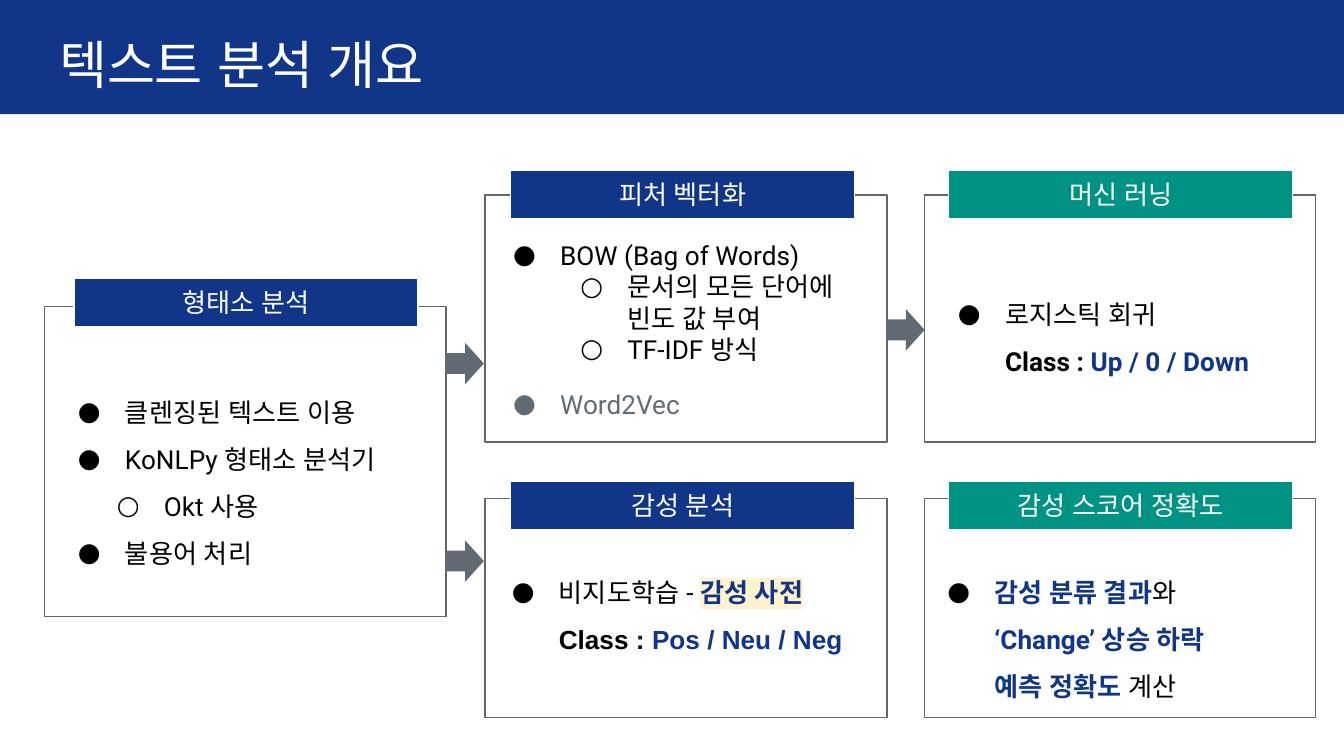
import dataclasses

import lxml.etree
import pptx
import pptx.dml.color
import pptx.enum.shapes
import pptx.enum.text
import pptx.oxml.ns
import pptx.util

Inches = pptx.util.Inches
Pt = pptx.util.Pt
SHAPE = pptx.enum.shapes.MSO_SHAPE
ALIGN = pptx.enum.text.PP_ALIGN
ANCHOR = pptx.enum.text.MSO_ANCHOR
FIT = pptx.enum.text.MSO_AUTO_SIZE

COLORS = {
    "navy": "113687", "green": "009384", "gray": "626B73", "frame": "666666",
    "cream": "FFF2CC", "black": "000000", "white": "FFFFFF",
}

# Grid in inches: columns are (left, width, tab left), rows (top, height, tab top)
SLIDE_WIDTH = 10
SLIDE_HEIGHT = SLIDE_WIDTH * 9 / 16
COLUMNS = [(0.33, 2.99, 0.55), (3.61, 2.99, 3.8), (6.88, 2.91, 7.06)]
ROWS = {"top": (1.45, 1.84, 1.27), "middle": (2.28, 2.31, 2.07), "bottom": (3.71, 1.63, 3.58)}
TAB_WIDTH, TAB_HEIGHT = 2.56, 0.36
LABEL_WIDTH, LABEL_HEIGHT = 1.95, 0.44


@dataclasses.dataclass
class Item:
    """One list paragraph; runs are (text, color, bold, highlight)."""
    runs: list
    bullet: str = "●"
    indent: float = 0.5
    spacing: float = 1.5
    before: int = 0
    font: str = "Roboto"
    bullet_color: str = "black"


def plain(text, color="black"):
    return (text, color, False, None)


def strong(text, color="navy", highlight=None):
    return (text, color, True, highlight)


# Panels: column, row, tab color, heading, list box (left, top, width, height), items
PANELS = [
    (0, "middle", "navy", "형태소 분석", (0.33, 2.73, 2.99, 1.5), [
        Item([plain("클렌징된 텍스트 이용")]),
        Item([plain("KoNLPy 형태소 분석기")]),
        Item([plain("Okt 사용")], bullet="○", indent=0.79),
        Item([plain("불용어 처리")]),
    ]),
    (1, "top", "navy", "피처 벡터화", (3.57, 1.68, 3.07, 1.52), [
        Item([plain("BOW (Bag of Words)")], spacing=1),
        Item([plain("문서의 모든 단어에 \n빈도 값 부여")], bullet="○", indent=1, spacing=1),
        Item([plain("TF-IDF 방식")], bullet="○", indent=1, spacing=1),
        Item([plain("Word2Vec", "gray")], spacing=1.15, before=10, bullet_color="gray"),
    ]),
    (2, "top", "green", "머신 러닝", (6.88, 2, 3.07, 0.79), [
        Item([plain("로지스틱 회귀")]),
        Item([strong("Class : ", "black"), strong("Up / 0 / Down")], bullet=""),
    ]),
    (1, "bottom", "navy", "감성 분석", (3.56, 4.07, 3.24, 0.79), [
        Item([plain("비지도학습 - "), strong("감성 사전", highlight="cream")]),
        Item([strong("Class : ", "black"), strong("Pos / Neu / Neg")], bullet="", font="Arial"),
    ]),
    (2, "bottom", "green", "감성 스코어 정확도", (6.8, 4.07, 3.24, 1.14), [
        Item([strong("감성 분류 결과"), plain("와")]),
        Item([strong("‘Change’ 상승 하락")], bullet=""),
        Item([strong("예측 정확도"), plain(" 계산")], bullet=""),
    ]),
]

# Arrows: column they leave, top
ARROWS = [(0, 2.55), (1, 2.3), (0, 4.02)]


def rgb(name):
    return pptx.dml.color.RGBColor.from_string(COLORS[name])


def box(*lengths):
    return [Inches(length) for length in lengths]


def add_block(shapes, kind, lengths, fill=None, line=None):
    block = shapes.add_shape(kind, *box(*lengths))
    block.shadow.inherit = False
    if fill:
        block.fill.solid()
        block.fill.fore_color.rgb = rgb(fill)
    else:
        block.fill.background()
    if line:
        block.line.color.rgb = rgb(line)
        block.line.width = Pt(0.75)
    else:
        block.line.fill.background()
    return block


def place(holder, lengths):
    holder.left, holder.top, holder.width, holder.height = box(*lengths)


def prepare_frame(holder, anchor=ANCHOR.TOP, fit=FIT.SHAPE_TO_FIT_TEXT):
    frame = holder.text_frame
    frame.word_wrap = True
    frame.auto_size = fit
    frame.vertical_anchor = anchor
    frame.margin_left = frame.margin_right = Inches(0.1)
    frame.margin_top = frame.margin_bottom = Inches(0.1)
    return frame


def add_element(parent, tag, **attributes):
    return lxml.etree.SubElement(parent, pptx.oxml.ns.qn(tag), **attributes)


def set_font(paragraph, size, name):
    paragraph.font.size = Pt(size)
    paragraph.font.name = name
    # Korean text takes its font from the East Asian slot
    add_element(paragraph.font._element, "a:ea", typeface=name)


def write_line(frame, text, size, font, align):
    line = frame.paragraphs[0]
    line.text = text
    line.alignment = align
    set_font(line, size, font)
    line.font.color.rgb = rgb("white")


def set_bullet(paragraph, item):
    properties = paragraph._p.get_or_add_pPr()
    properties.set("marL", str(Inches(item.indent)))
    properties.set("indent", str(Inches(-0.35 if item.bullet else 0)))
    if item.bullet:
        color = add_element(properties, "a:buClr")
        add_element(color, "a:srgbClr", val=COLORS[item.bullet_color])
        add_element(properties, "a:buSzPts", val="1400")
        add_element(properties, "a:buFont", typeface=item.font)
        add_element(properties, "a:buChar", char=item.bullet)
    else:
        add_element(properties, "a:buNone")


def add_run(paragraph, text, color, bold, highlight):
    for number, part in enumerate(text.split("\n")):
        if number:
            paragraph.add_line_break()
        run = paragraph.add_run()
        run.text = part
        run.font.bold = bold
        run.font.color.rgb = rgb(color)
        if highlight:
            marker = add_element(run.font._element, "a:highlight")
            add_element(marker, "a:srgbClr", val=COLORS[highlight])


def write_list(holder, items):
    frame = prepare_frame(holder)
    for number, item in enumerate(items):
        paragraph = frame.add_paragraph() if number else frame.paragraphs[0]
        paragraph.level = 1 if item.bullet == "○" else 0
        set_bullet(paragraph, item)
        paragraph.alignment = ALIGN.LEFT
        paragraph.line_spacing = float(item.spacing)
        paragraph.space_before = Pt(item.before)
        set_font(paragraph, 14, item.font)
        for run in item.runs:
            add_run(paragraph, *run)


def add_tab(slide, left, top, color, heading):
    tab = slide.shapes.add_group_shape()
    add_block(tab.shapes, SHAPE.RECTANGLE, (left, top, TAB_WIDTH, TAB_HEIGHT), color, "white")
    label = tab.shapes.add_textbox(*box(
        left + (TAB_WIDTH - LABEL_WIDTH) / 2, top + (TAB_HEIGHT - LABEL_HEIGHT) / 2,
        LABEL_WIDTH, LABEL_HEIGHT))
    write_line(prepare_frame(label), heading, 14, "Roboto", ALIGN.CENTER)


def add_title(slide, text):
    title = slide.shapes.title
    band = add_block(slide.shapes, SHAPE.RECTANGLE, (0, 0, SLIDE_WIDTH, 0.85), "navy")
    title.element.addprevious(band.element)
    place(title, (0.34, 0.13, 9.32, 0.68))
    write_line(prepare_frame(title, ANCHOR.MIDDLE, FIT.NONE), text, 28,
               "TeX Gyre Schola", ALIGN.LEFT)


def main():
    deck = pptx.Presentation()
    deck.slide_width, deck.slide_height = box(SLIDE_WIDTH, SLIDE_HEIGHT)
    slide = deck.slides.add_slide(deck.slide_layouts[1])
    add_title(slide, "텍스트 분석 개요")

    # The first panel's list takes the body placeholder
    body = slide.placeholders[1]
    for column, row, color, heading, list_box, items in PANELS:
        left, width, tab_left = COLUMNS[column]
        top, height, tab_top = ROWS[row]
        add_block(slide.shapes, SHAPE.RECTANGLE, (left, top, width, height), line="frame")
        holder = body if column == 0 else slide.shapes.add_textbox(*box(*list_box))
        place(holder, list_box)
        write_list(holder, items)
        add_tab(slide, tab_left, tab_top, color, heading)

    # Arrows fill the gap after a column
    for column, top in ARROWS:
        left, width, _ = COLUMNS[column]
        add_block(slide.shapes, SHAPE.RIGHT_ARROW, (left + width, top, 0.28, 0.31), "gray")

    deck.save("out.pptx")


if __name__ == "__main__":
    main()
